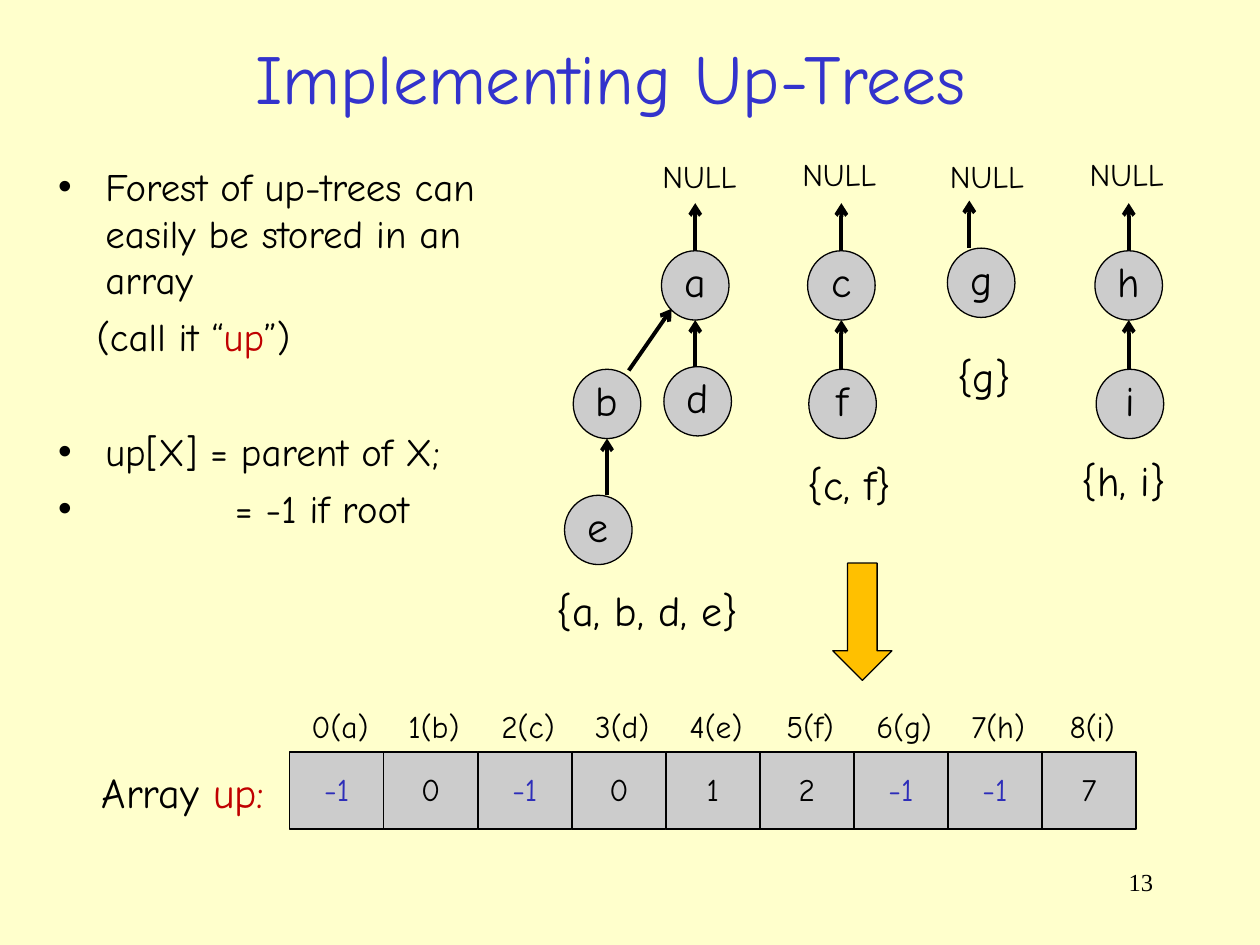
from lxml.etree import SubElement
from pptx import Presentation
from pptx.dml.color import RGBColor
from pptx.enum.shapes import MSO_CONNECTOR, MSO_SHAPE
from pptx.enum.text import MSO_ANCHOR, MSO_AUTO_SIZE, PP_ALIGN
from pptx.oxml.ns import qn
from pptx.util import Pt

FONT = "Comic Neue"
BLACK, BLUE, RED, GRAY = "000000", "2D2DB9", "C00000", "CCCCCC"
TITLE = "Implementing Up-Trees"
BULLETS = [
    {"spans": [("Forest of up-trees can easily be stored in an array", BLACK)],
     "margin": 27, "indent": -27, "before": 0},
    {"spans": [("(call it “", BLACK), ("up", RED), ("”)", BLACK)],
     "margin": 22, "indent": 0, "before": 6},
    {"spans": [("up[X] = parent of X;", BLACK)],
     "margin": 27, "indent": -27, "before": 39},
    {"spans": [("= -1 if root", BLACK)],
     "margin": 101, "indent": -101, "before": 6},
]
NODES = {
    "a": (378, 143.3, None), "b": (327.6, 211, "a"), "c": (461.5, 143.3, None),
    "d": (379.4, 209.5, "a"), "e": (322.6, 283, "b"), "f": (462.2, 211, "c"),
    "g": (541.4, 141.8, None), "h": (625.7, 143.3, None), "i": (626.4, 211, "h"),
}
NODE_WIDTH, NODE_HEIGHT = 38.6, 39.6
ROOT_ARROW = 27.2
ARROW_SHIFT = {"g": -6.8}
SLANTED_ARROWS = {"b": (359.3, 211.7, 383.8, 176.4)}
NULLS = [(371.5, 86.4), (451.4, 85), (535.7, 86.4), (615.6, 85)]
SETS = [("{a, b, d, e}", 311, 330.5, 120), ("{c, f}", 454.3, 258.5, 65),
        ("{g}", 540, 196.6, 50), ("{h, i}", 611, 256.3, 65)]
CELL_LEFT, CELL_TOP, CELL_WIDTH, CELL_HEIGHT = 165.6, 429.8, 53.73, 43.9
LABEL_TOP, LABEL_SHIFT = 400.3, 1.8


def color(value):
    return RGBColor.from_string(value)


def write(para, spans, size, font=FONT):
    for text, shade in spans:
        span = para.add_run()
        span.text = text
        span.font.name = font
        span.font.size = Pt(size)
        span.font.color.rgb = color(shade)


def place(shape, left, top, width, height):
    shape.left, shape.top = Pt(left), Pt(top)
    shape.width, shape.height = Pt(width), Pt(height)


def add_text(page, spans, left, top, width, height, size,
             align=PP_ALIGN.LEFT, font=FONT):
    box = page.shapes.add_textbox(Pt(left), Pt(top), Pt(width), Pt(height))
    box.text_frame.word_wrap = False
    para = box.text_frame.paragraphs[0]
    para.alignment = align
    write(para, spans, size, font)


def add_figure(page, kind, left, top, width, height, fill):
    figure = page.shapes.add_shape(kind, Pt(left), Pt(top), Pt(width), Pt(height))
    figure.shadow.inherit = False
    figure.fill.solid()
    figure.fill.fore_color.rgb = color(fill)
    figure.line.color.rgb = color(BLACK)
    figure.line.width = Pt(0.75)
    return figure


def label_figure(figure, text, size, shade=BLACK, lift=0):
    frame = figure.text_frame
    frame.margin_left = frame.margin_right = frame.margin_top = 0
    frame.margin_bottom = Pt(lift)
    frame.word_wrap = False
    frame.vertical_anchor = MSO_ANCHOR.MIDDLE
    frame.paragraphs[0].alignment = PP_ALIGN.CENTER
    write(frame.paragraphs[0], [(text, shade)], size)


def add_arrow(page, *ends):
    arrow = page.shapes.add_connector(MSO_CONNECTOR.STRAIGHT, *map(Pt, ends))
    arrow.line.color.rgb = color(BLACK)
    arrow.line.width = Pt(2.25)
    properties = arrow._element.spPr
    SubElement(properties.find(qn("a:ln")), qn("a:tailEnd"), type="arrow")
    SubElement(properties, qn("a:effectLst"))


def fill_placeholders(page):
    title, body = page.placeholders
    place(title, 26.6, 18.7, 645, 49.7)
    title.text_frame.auto_size = MSO_AUTO_SIZE.NONE
    title.text_frame.vertical_anchor = MSO_ANCHOR.MIDDLE
    title.text_frame.paragraphs[0].alignment = PP_ALIGN.CENTER
    write(title.text_frame.paragraphs[0], [(TITLE, "3333CC")], 40)

    place(body, 26, 89.3, 289.4, 229)
    frame = body.text_frame
    frame.auto_size = MSO_AUTO_SIZE.NONE
    for index, item in enumerate(BULLETS):
        para = frame.add_paragraph() if index else frame.paragraphs[0]
        properties = para._p.get_or_add_pPr()
        properties.set("marL", str(Pt(item["margin"])))
        properties.set("indent", str(Pt(item["indent"])))
        para.space_before = Pt(item["before"])
        if not item["indent"]:
            SubElement(properties, qn("a:buNone"))
        write(para, item["spans"], 22.2)


def draw_forest(page):
    for name, (x, y, parent) in NODES.items():
        node = add_figure(page, MSO_SHAPE.OVAL, x, y, NODE_WIDTH, NODE_HEIGHT, GRAY)
        label_figure(node, name, 24, lift=5)
    for name, (x, y, parent) in NODES.items():
        if name in SLANTED_ARROWS:
            add_arrow(page, *SLANTED_ARROWS[name])
            continue
        target = NODES[parent] if parent else (x, y - ROOT_ARROW - NODE_HEIGHT)
        middle = target[0] + NODE_WIDTH / 2 + ARROW_SHIFT.get(name, 0)
        add_arrow(page, middle, y, middle, target[1] + NODE_HEIGHT)
    for left, top in NULLS:
        add_text(page, [("NULL", BLACK)], left, top, 58, 28.8, 18)
    for text, left, top, width in SETS:
        add_text(page, [(text, BLACK)], left, top, width, 36, 24)


def draw_array(page):
    names = list(NODES)
    for index, (name, (_, _, parent)) in enumerate(NODES.items()):
        left = CELL_LEFT + index * CELL_WIDTH
        value = names.index(parent) if parent else -1
        cell = add_figure(page, MSO_SHAPE.RECTANGLE, left, CELL_TOP,
                          CELL_WIDTH, CELL_HEIGHT, GRAY)
        label_figure(cell, str(value), 18, BLACK if parent else BLUE, lift=2)
        add_text(page, [(f"{index}({name})", BLACK)], left + LABEL_SHIFT, LABEL_TOP,
                 CELL_WIDTH, 28.8, 18, PP_ALIGN.CENTER)
    add_text(page, [("Array ", BLACK), ("up:", RED)], 51.1, 434.2, 110, 36, 24)


def main():
    deck = Presentation()
    deck.slide_width, deck.slide_height = Pt(720), Pt(540)
    page = deck.slides.add_slide(deck.slide_layouts[1])
    page.background.fill.solid()
    page.background.fill.fore_color.rgb = color("FFFFCC")
    fill_placeholders(page)
    draw_forest(page)
    draw_array(page)
    add_figure(page, MSO_SHAPE.DOWN_ARROW, 475.9, 321.8, 33.8, 67, "FFC000")
    add_text(page, [("13", BLACK)], 516.2, 491.8, 149.8, 36, 14,
             PP_ALIGN.RIGHT, "Times New Roman")
    deck.save("out.pptx")


if __name__ == "__main__":
    main()
